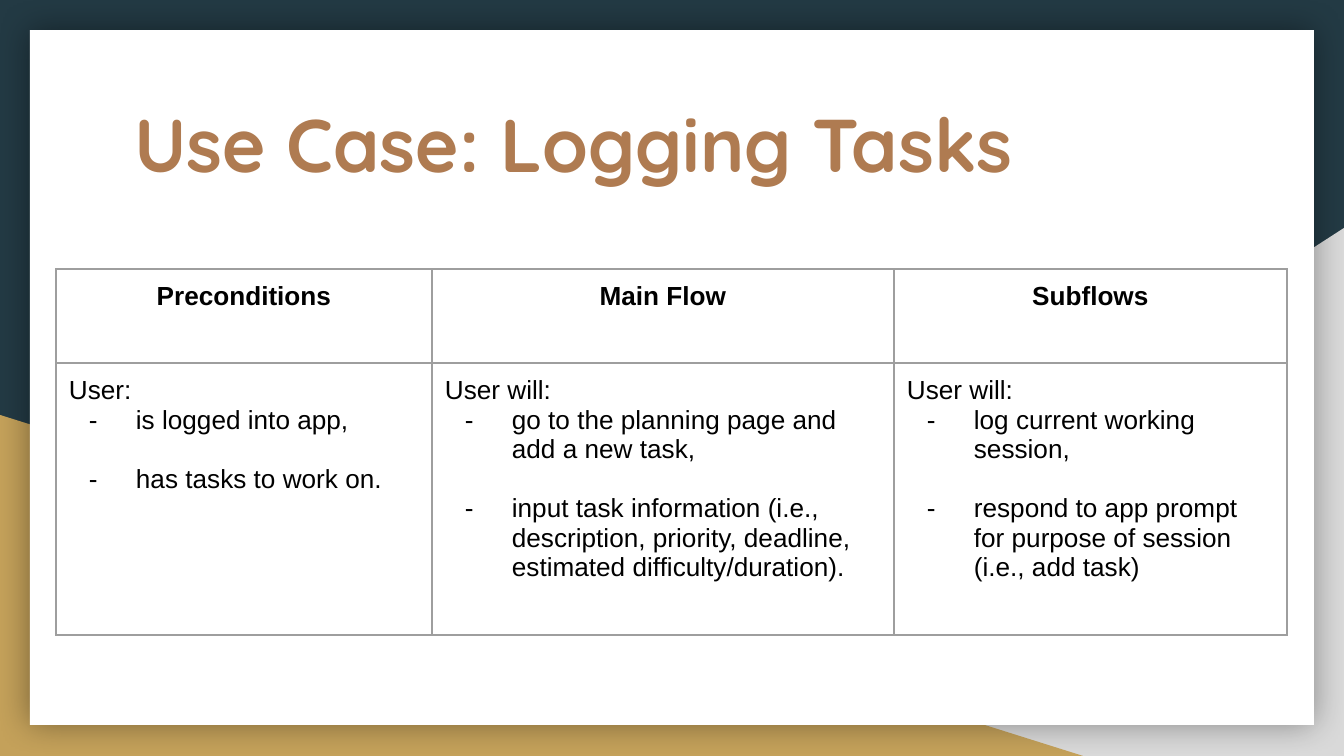
from dataclasses import dataclass

from lxml import etree
from pptx import Presentation
from pptx import util as u
from pptx.dml.color import RGBColor
from pptx.enum import shapes, text
from pptx.oxml.ns import qn

SCALE = 914400 / 134.4


def px(n):
    return u.Emu(round(n * SCALE))


@dataclass(frozen=True)
class Theme:
    navy: str = "233A44"
    grey: str = "D9D9D9"
    gold: str = "C4A15A"
    white: str = "FFFFFF"
    copper: str = "AF7B51"
    ink: str = "000000"
    rule: str = "9E9E9E"
    heading: str = "Quicksand"
    body: str = "Arial"
    title_size: int = 40
    body_size: int = 14
    bullet_gap: int = 16
    pad: int = 13


def node(parent, tag, **attrs):
    return etree.SubElement(parent, qn(tag), {k: str(v) for k, v in attrs.items()})


def write(p, words, font, size, color, bold=False, align=text.PP_ALIGN.LEFT, before=0):
    p.alignment = align
    p.space_before = u.Pt(before)
    r = p.add_run()
    r.text = words
    r.font.name = font
    r.font.size = u.Pt(size)
    r.font.bold = bold
    r.font.color.rgb = RGBColor.from_string(color)


class Deck:
    def __init__(self, theme, width, height):
        self.theme = theme
        self.prs = Presentation()
        self.prs.slide_width, self.prs.slide_height = px(width), px(height)
        self.s = None

    def slide(self, color):
        self.s = self.prs.slides.add_slide(self.prs.slide_layouts[5])
        fill = self.s.background.fill
        fill.solid()
        fill.fore_color.rgb = RGBColor.from_string(color)

    def shape(self, kind, box, color, flip=False, glow=False):
        sp = self.s.shapes.add_shape(kind, *map(px, box))
        sp.fill.solid()
        sp.fill.fore_color.rgb = RGBColor.from_string(color)
        sp.line.fill.background()
        sp.shadow.inherit = False
        if flip:
            sp.element.spPr.xfrm.set("flipH", "1")
        if glow:
            effects = sp.element.spPr.find(qn("a:effectLst"))
            shadow = node(effects, "a:outerShdw", blurRad=u.Pt(18), dist=0, algn="ctr", rotWithShape=0)
            node(node(shadow, "a:srgbClr", val=self.theme.ink), "a:alpha", val=40000)

    def title(self, words, box):
        t = self.theme
        sp = self.s.shapes.title
        sp.left, sp.top, sp.width, sp.height = map(px, box)
        sp.element.getparent().append(sp.element)
        tf = sp.text_frame
        tf.word_wrap = True
        tf.auto_size = text.MSO_AUTO_SIZE.NONE
        tf.vertical_anchor = text.MSO_ANCHOR.TOP
        tf.margin_left = tf.margin_right = tf.margin_top = tf.margin_bottom = px(t.pad)
        write(tf.paragraphs[0], words, t.heading, t.title_size, t.copper, bold=True)

    def bullet(self, p):
        ppr = p._p.get_or_add_pPr()
        ppr.set("marL", str(px(67)))
        ppr.set("indent", str(px(-47)))
        node(node(ppr, "a:buClr"), "a:srgbClr", val=self.theme.ink)
        node(ppr, "a:buFont", typeface=self.theme.body)
        node(ppr, "a:buChar", char="-")

    def cell(self, cell):
        t = self.theme
        cell.margin_left = cell.margin_right = cell.margin_top = cell.margin_bottom = px(t.pad)
        tcpr = cell._tc.get_or_add_tcPr()
        for side in "LRTB":
            line = node(tcpr, f"a:ln{side}", w=u.Pt(0.75))
            node(node(line, "a:solidFill"), "a:srgbClr", val=t.rule)
        cell.fill.background()
        return cell.text_frame

    def table(self, left, top, widths, heights, columns):
        t = self.theme
        frame = self.s.shapes.add_table(
            len(heights), len(widths), px(left), px(top), px(sum(widths)), px(sum(heights)))
        table = frame.table
        table.first_row = table.horz_banding = False
        for row, height in zip(table.rows, heights):
            row.height = px(height)
        for i, (width, (head, lead, items)) in enumerate(zip(widths, columns)):
            table.columns[i].width = px(width)
            tf = self.cell(table.cell(0, i))
            write(tf.paragraphs[0], head, t.body, t.body_size, t.ink,
                  bold=True, align=text.PP_ALIGN.CENTER)
            tf = self.cell(table.cell(1, i))
            write(tf.paragraphs[0], lead, t.body, t.body_size, t.ink)
            for n, item in enumerate(items):
                p = tf.add_paragraph()
                self.bullet(p)
                write(p, item, t.body, t.body_size, t.ink, before=t.bullet_gap if n else 0)


def main():
    t = Theme()
    deck = Deck(t, 1344, 756)
    deck.slide(t.navy)
    kind = shapes.MSO_SHAPE
    deck.shape(kind.RIGHT_TRIANGLE, (527, 228, 817, 528), t.grey, flip=True)
    deck.shape(kind.RIGHT_TRIANGLE, (0, 415, 1083, 341), t.gold)
    deck.shape(kind.RECTANGLE, (30, 30, 1284, 695), t.white, glow=True)
    deck.title("Use Case: Logging Tasks", (121, 85, 1103, 140))
    deck.table(56, 269, (376, 462, 393), (94, 272), [
        ("Preconditions", "User:", ["is logged into app,", "has tasks to work on."]),
        ("Main Flow", "User will:", [
            "go to the planning page and add a new task,",
            "input task information (i.e., description, priority, deadline, "
            "estimated difficulty/duration)."]),
        ("Subflows", "User will:", [
            "log current working session,",
            "respond to app prompt for purpose of session (i.e., add task)"]),
    ])
    deck.prs.save("out.pptx")


if __name__ == "__main__":
    main()
